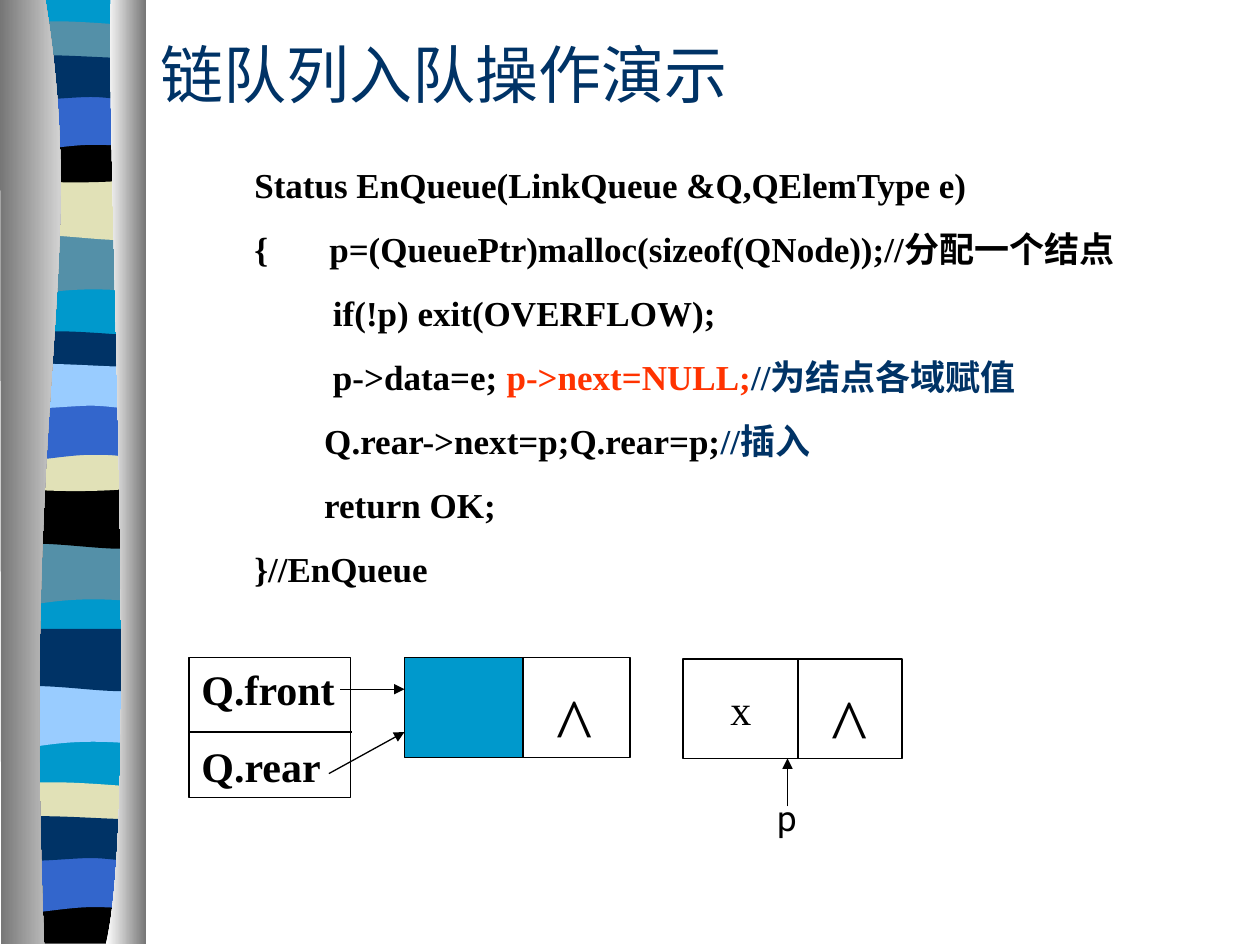
"""Build the slide that demonstrates the enqueue operation of a linked queue."""
import pptx
import pptx.util
import pptx.dml.color
import pptx.enum.shapes
import pptx.enum.text
import pptx.oxml.ns
from lxml import etree

Inches, Pt = pptx.util.Inches, pptx.util.Pt
RGB = pptx.dml.color.RGBColor.from_string
qn = pptx.oxml.ns.qn
RECT = pptx.enum.shapes.MSO_SHAPE.RECTANGLE
PP_ALIGN, ANCHOR = pptx.enum.text.PP_ALIGN, pptx.enum.text.MSO_ANCHOR
SERIF = "Times New Roman"
COLORS = {"cyan": "0099CC", "teal": "5490A8", "sand": "E1E1B7", "black": "000000",
          "blue": "3366CC", "navy": "003366", "sky": "99CCFF", "red": "FF3300",
          "gray": "767676", "white": "FFFFFF"}

prs = pptx.Presentation()
prs.slide_width, prs.slide_height = Inches(10), Inches(7.5)
s = prs.slides.add_slide(prs.slide_layouts[5])


def add_outline(pieces, left=0, top=0):
    """Draw a closed outline; a piece is one point or the three of a Bezier curve."""
    pts = [(Inches(left + x), Inches(top + y)) for piece in pieces for x, y in piece]
    fb = s.shapes.build_freeform(*pts[0], scale=1.0)
    fb.add_line_segments(pts[1:], close=True)
    sp = fb.convert_to_shape()
    sp.shadow.inherit = False
    sp.line.fill.background()
    steps = iter(list(sp._element.spPr.iter(qn("a:lnTo"))))
    for piece in pieces[1:]:
        group = [next(steps) for point in piece]
        if len(group) == 3:
            curve = etree.Element(qn("a:cubicBezTo"))
            group[0].addprevious(curve)
            for step in group:
                curve.append(step[0])
                step.getparent().remove(step)
    return sp


def add_text(sp, lines, size, before=0, bold=False, font=SERIF):
    """Fill a shape with paragraphs, each a list of (text, color) runs."""
    tf = sp.text_frame
    tf.word_wrap = True
    for i, runs in enumerate(lines):
        p = tf.add_paragraph() if i else tf.paragraphs[0]
        p.alignment = PP_ALIGN.LEFT
        p.font.name, p.font.size, p.font.bold = font, Pt(size), bold
        if i:
            p.space_before = Pt(before)
        for text, color in runs:
            r = p.add_run()
            r.text = text
            r.font.color.rgb = RGB(COLORS[color])
    return tf


W = 1.08
waves = [
    ([[(W, 0)], [(W, 7.47)], [(0, 7.47)], [(0, 0)]], [(0, "cyan")]),
    ([[(W, 0)], [(W, 0.47)], [(0.33, 0.39), (0.18, 0.55), (0, 0.47)], [(0, 0)]],
     [(1.85, "teal"), (4.31, "teal"), (5.44, "sky")]),
    ([[(W, 0)], [(W, 0.47)], [(0.9, 0.55), (0.33, 0.41), (0, 0.47)], [(0, 0)]],
     [(1.41, "sand"), (3.86, "black"), (4.99, "navy")]),
    ([[(W, 0.05)], [(W, 0.29)], [(0.9, 0.33), (0.18, 0.33), (0, 0.29)], [(0, 0.05)],
      [(0.06, 0), (0.23, 0.01), (0.41, 0.01)], [(0.59, 0.01), (0.94, 0.04), (W, 0.05)]],
     [(0.16, "teal"), (2.62, "navy"), (6.2, "sand")]),
    ([[(W, 0)], [(W, 0.33)], [(0.9, 0.38), (0.18, 0.38), (0, 0.33)], [(0, 0)],
      [(0.66, 0.05), (0.85, 0), (W, 0)]],
     [(1.08, "black"), (3.53, "sand")]),
    ([[(W, 0)], [(W, 0.37)], [(0, 0.37)], [(0, 0)], [(0.66, 0.05), (0.85, 0), (W, 0)]],
     [(7.12, "black")]),
    ([[(W, 0)], [(W, 0.47)], [(0.91, 0.41), (0.84, 0.41), (0.66, 0.41)],
      [(0.48, 0.41), (0.16, 0.47), (0, 0.47)], [(0, 0)]],
     [(0.74, "blue"), (3.2, "blue"), (6.79, "blue")]),
    ([[(W, 0.05)], [(W, 0.36)], [(1.01, 0.41), (0.84, 0.36), (0.66, 0.36)],
      [(0.48, 0.36), (0.11, 0.41), (0, 0.36)], [(0, 0.05)],
      [(0.15, 0), (0.73, 0.05), (0.91, 0.05)]],
     [(0.41, "navy"), (2.86, "sky"), (6.45, "navy")]),
]
for pieces, bands in waves:
    for top, color in bands:
        sp = add_outline(pieces, 0.06, top)
        sp.fill.solid()
        sp.fill.fore_color.rgb = RGB(COLORS[color])

edges = [
    ([[(0.36, 0)], [(0.71, 2.16), (0.17, 2.96), (0.35, 7.49)], [(0.01, 7.49)], [(0, 0)]],
     ("gray", "white")),
    ([[(0.88, 0)], [(0.84, 1.25), (1.11, 6.46), (0.84, 7.49)], [(1.16, 7.49)], [(1.16, 0)]],
     ("white", "gray")),
]
for pieces, shades in edges:
    sp = add_outline(pieces)
    sp.fill.gradient()
    sp.fill.gradient_angle = 0
    for stop, shade, position in zip(sp.fill.gradient_stops, shades, (0, 1)):
        stop.color.rgb = RGB(COLORS[shade])
        stop.position = position

title = s.shapes.title
title.left, title.top, title.width, title.height = map(Inches, (1.17, 0.17, 5.88, 0.83))
add_text(title, [[("链队列入队操作演示", "navy")]], 36).vertical_anchor = ANCHOR.MIDDLE

code = [
    [("Status EnQueue(LinkQueue &Q,QElemType e)", "black")],
    [("{       p=(QueuePtr)malloc(sizeof(QNode));//分配一个结点", "black")],
    [("         if(!p) exit(OVERFLOW);", "black")],
    [("         p->data=e;", "black"), (" p->next=NULL;", "red"), ("//为结点各域赋值", "navy")],
    [("        Q.rear->next=p;Q.rear=p;", "black"), ("//插入", "navy")],
    [("        return OK;", "black")],
    [("}//EnQueue", "black")],
]
box = s.shapes.add_textbox(Inches(1.92), Inches(1.25), Inches(7.17), Inches(3.48))
add_text(box, code, 20, 12.5, True)

cells = []
for left, top, width, height, fill in [
    (1.5, 5.22, 1.28, 1.11, None),
    (3.21, 5.22, 0.94, 0.79, "cyan"),
    (4.15, 5.22, 0.85, 0.79, None),
    (5.42, 5.23, 0.92, 0.79, None),
    (6.33, 5.23, 0.83, 0.79, None),
]:
    sp = s.shapes.add_shape(RECT, *map(Inches, (left, top, width, height)))
    sp.shadow.inherit = False
    sp.line.color.rgb = RGB(COLORS["black"])
    sp.line.width = Pt(0.75)
    if fill:
        sp.fill.solid()
        sp.fill.fore_color.rgb = RGB(COLORS[fill])
    else:
        sp.fill.background()
    cells.append(sp)
queue, head_data, head_next, node_data, node_next = cells

tf = add_text(queue, [[("Q.front", "black")], [("Q.rear", "black")]], 24, 15, True)
tf.vertical_anchor = ANCHOR.TOP
tf = add_text(node_data, [[("x", "black")]], 24)
tf.vertical_anchor = ANCHOR.MIDDLE
tf.paragraphs[0].alignment = PP_ALIGN.CENTER

for text, left, top, width, height, size, font in [
    ("^", 4.32, 5.31, 0.51, 0.84, 44, SERIF),
    ("^", 6.5, 5.32, 0.5, 0.84, 44, SERIF),
    ("p", 6.07, 6.27, 0.83, 0.44, 20, "Roboto"),
]:
    box = s.shapes.add_textbox(*map(Inches, (left, top, width, height)))
    add_text(box, [[(text, "black")]], size, font=font)

for x1, y1, x2, y2, arrow in [
    (1.5, 5.81, 2.79, 5.81, False),
    (2.7, 5.47, 3.21, 5.47, True),
    (2.61, 6.14, 3.21, 5.81, True),
    (6.25, 6.4, 6.25, 6.02, True),
]:
    line = s.shapes.add_connector(pptx.enum.shapes.MSO_CONNECTOR.STRAIGHT,
                                  *map(Inches, (x1, y1, x2, y2)))
    line.line.color.rgb = RGB(COLORS["black"])
    line.line.width = Pt(0.75)
    if arrow:
        ln = line._element.spPr.find(qn("a:ln"))
        etree.SubElement(ln, qn("a:tailEnd"), type="triangle")
    etree.SubElement(line._element.spPr, qn("a:effectLst"))

prs.save("out.pptx")
